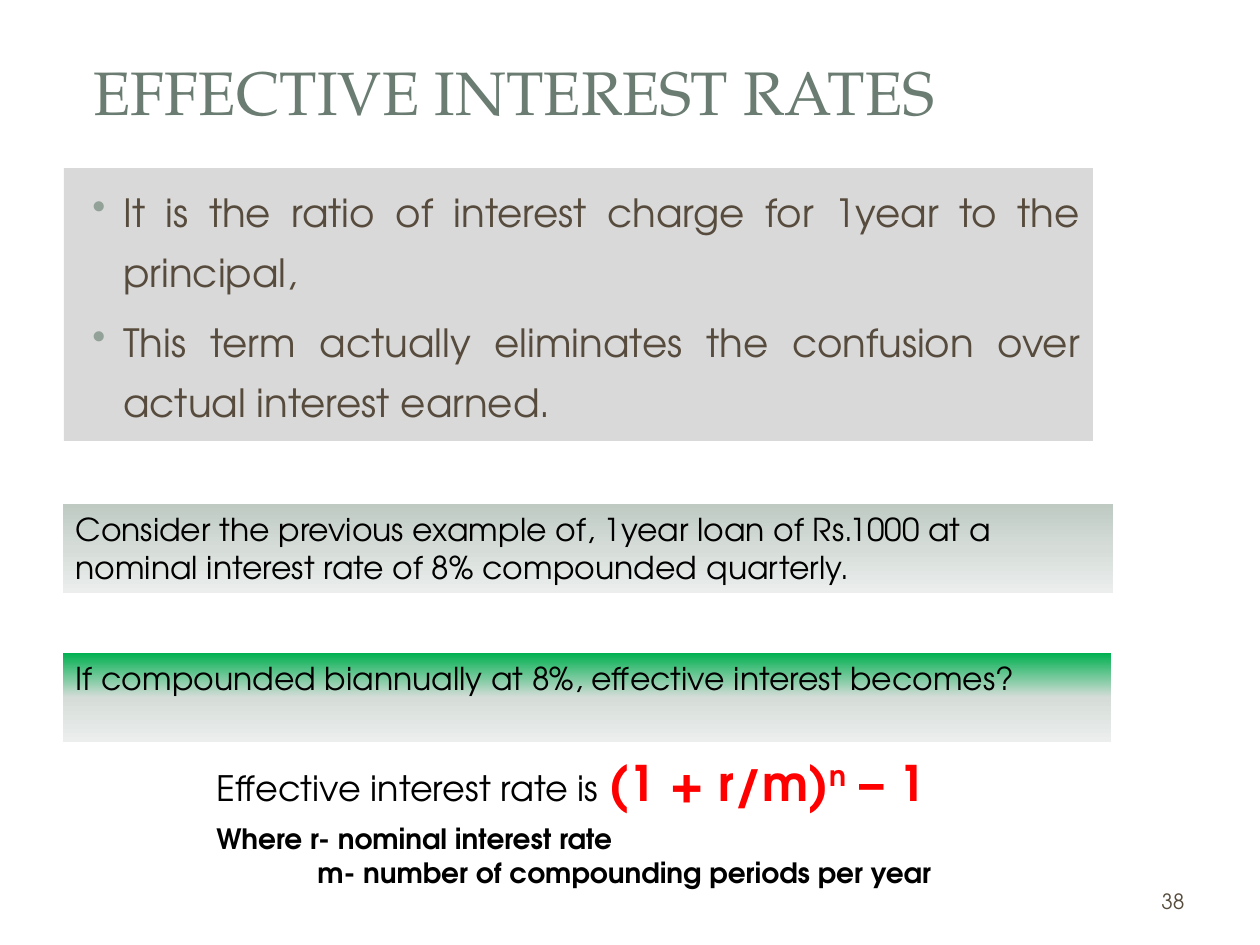
from copy import deepcopy

from lxml import etree
from pptx import Presentation
from pptx.dml.color import RGBColor
from pptx.enum.shapes import MSO_SHAPE
from pptx.enum.text import MSO_ANCHOR, MSO_AUTO_SIZE, PP_ALIGN
from pptx.oxml.ns import qn
from pptx.util import Emu, Pt

RECTANGLE = MSO_SHAPE.RECTANGLE
TOP, MIDDLE = MSO_ANCHOR.TOP, MSO_ANCHOR.MIDDLE
NO_AUTOFIT = MSO_AUTO_SIZE.NONE
LEFT, CENTER, RIGHT, JUSTIFY = PP_ALIGN.LEFT, PP_ALIGN.CENTER, PP_ALIGN.RIGHT, PP_ALIGN.JUSTIFY

BODY_FONT, TITLE_FONT = "TeX Gyre Adventor", "TeX Gyre Pagella"
BLACK = RGBColor(0x00, 0x00, 0x00)
RED = RGBColor(0xFF, 0x00, 0x00)
GREEN = RGBColor(0x00, 0xB0, 0x50)
BROWN = RGBColor(0x56, 0x4B, 0x3C)
SLATE = RGBColor(0x6B, 0x7D, 0x72)
SAGE = RGBColor(0x93, 0xA2, 0x99)
GRAY = RGBColor(0xD9, 0xD9, 0xD9)
SAGE_TOP = RGBColor(0xBF, 0xCA, 0xC3)
SAGE_MIDDLE = RGBColor(0xD6, 0xDD, 0xD9)
SAGE_BOTTOM = RGBColor(0xEB, 0xEE, 0xEC)

TITLE = "EFFECTIVE INTEREST RATES"
DEFINITIONS = [
    "It is the ratio of interest charge for 1year to the principal,",
    "This term actually eliminates the confusion over actual interest earned.",
]
EXAMPLES = [
    ("Consider the previous example of, 1year loan of Rs.1000 at a nominal interest rate "
     "of 8% compounded quarterly.", (63, 504, 1050, 89), SAGE_TOP),
    ("If compounded biannually at 8%, effective interest becomes?", (63, 653, 1048, 89), GREEN),
]
FORMULA = [
    ("Effective interest rate is ", 20, BLACK, False, 0),
    ("(1 + r/m)", 28, RED, True, 0),
    ("n", 28, RED, True, 30000),
    (" – 1", 28, RED, True, 0),
]
LEGEND = [
    ("Where r- nominal interest rate", 0),
    ("m- number of compounding periods per year", 101),
]
PAGE_NUMBER = "38"


def px(length):
    return Emu(round(length * 914400 / 126))


def place(shape, box):
    shape.left, shape.top, shape.width, shape.height = map(px, box)


def set_font(font, size, color, name=BODY_FONT, bold=False):
    font.name, font.size, font.bold = name, Pt(size), bold
    font.color.rgb = color


def prepare_frame(shape, anchor=TOP):
    frame = shape.text_frame
    frame.word_wrap = True
    frame.auto_size = NO_AUTOFIT
    frame.vertical_anchor = anchor
    return frame


def add_text_box(slide, box, anchor=TOP):
    return prepare_frame(slide.shapes.add_textbox(*map(px, box)), anchor)


def add_rectangle(slide, box):
    shape = slide.shapes.add_shape(RECTANGLE, *map(px, box))
    shape.shadow.inherit = False
    shape.line.fill.background()
    return shape


def fill_gradient(shape, colors):
    shape.fill.gradient()
    shape.fill.gradient_angle = 270
    stop_list = shape.element.spPr.find(qn("a:gradFill")).find(qn("a:gsLst"))
    stop_list.insert(1, deepcopy(stop_list[0]))
    for index, (stop, color) in enumerate(zip(shape.fill.gradient_stops, colors)):
        stop.position = index / (len(colors) - 1)
        stop.color.rgb = color


def set_indent(paragraph, margin, hanging=0):
    properties = paragraph._p.get_or_add_pPr()
    properties.set("marL", str(px(margin)))
    properties.set("indent", str(-px(hanging)))
    return properties


def add_bullet(paragraph):
    properties = set_indent(paragraph, 47, 31)
    color = etree.SubElement(properties, qn("a:buClr"))
    etree.SubElement(color, qn("a:srgbClr")).set("val", str(SAGE))
    etree.SubElement(properties, qn("a:buChar")).set("char", "•")


def add_title(slide):
    title = slide.shapes.title
    place(title, (0, 42, 1029, 98))
    paragraph = prepare_frame(title, MIDDLE).paragraphs[0]
    paragraph.text, paragraph.alignment = TITLE, CENTER
    set_font(paragraph.font, 35, SLATE, TITLE_FONT)


def add_definitions(slide):
    shape = add_rectangle(slide, (64, 168, 1029, 273))
    shape.fill.solid()
    shape.fill.fore_color.rgb = GRAY
    frame = prepare_frame(shape)
    for index, text in enumerate(DEFINITIONS):
        paragraph = frame.add_paragraph() if index else frame.paragraphs[0]
        add_bullet(paragraph)
        paragraph.text, paragraph.alignment = text, JUSTIFY
        paragraph.line_spacing = 1.3
        paragraph.space_before = Pt(5 if index else 0)
        set_font(paragraph.font, 22.2, BROWN)


def add_formula(slide):
    frame = add_text_box(slide, (204, 746, 835, 150))
    formula = frame.paragraphs[0]
    formula.space_after = Pt(6)
    for text, size, color, bold, baseline in FORMULA:
        run = formula.add_run()
        run.text = text
        set_font(run.font, size, color, bold=bold)
        if baseline:
            run._r.get_or_add_rPr().set("baseline", str(baseline))
    for text, margin in LEGEND:
        paragraph = frame.add_paragraph()
        set_indent(paragraph, margin)
        paragraph.text = text
        set_font(paragraph.font, 16, BLACK, bold=True)


def add_examples(slide):
    for text, box, top_color in EXAMPLES:
        shape = add_rectangle(slide, box)
        fill_gradient(shape, (top_color, SAGE_MIDDLE, SAGE_BOTTOM))
        paragraph = prepare_frame(shape).paragraphs[0]
        paragraph.text, paragraph.alignment = text, LEFT
        set_font(paragraph.font, 18, BLACK)


def add_page_number(slide):
    paragraph = add_text_box(slide, (903, 876, 294, 50), MIDDLE).paragraphs[0]
    paragraph.text, paragraph.alignment = PAGE_NUMBER, RIGHT
    set_font(paragraph.font, 12, BROWN)


def main():
    presentation = Presentation()
    presentation.slide_width, presentation.slide_height = px(1260), px(945)
    slide = presentation.slides.add_slide(presentation.slide_layouts[5])
    add_title(slide)
    add_definitions(slide)
    add_formula(slide)
    add_examples(slide)
    add_page_number(slide)
    presentation.save("out.pptx")


if __name__ == "__main__":
    main()
